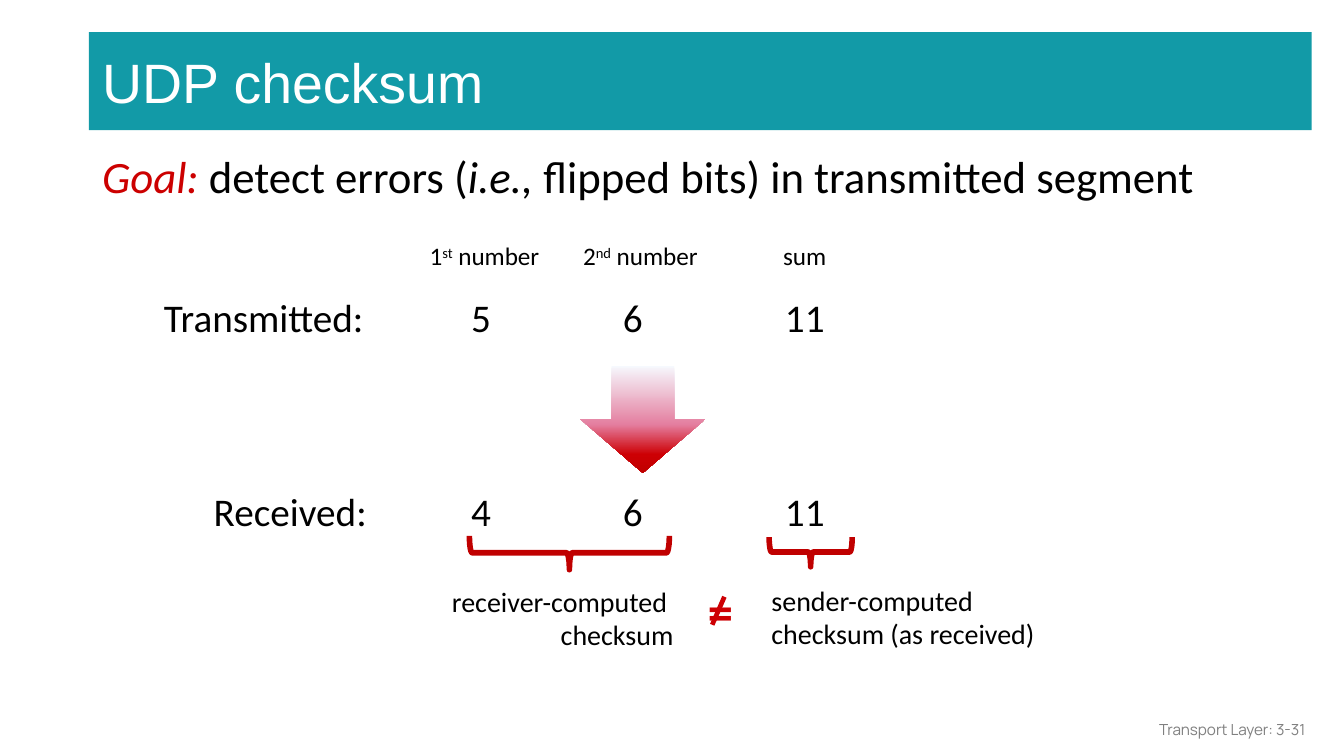
from lxml.etree import SubElement
from pptx import Presentation
from pptx.dml.color import RGBColor
from pptx.enum.shapes import MSO_CONNECTOR, MSO_SHAPE
from pptx.enum.text import MSO_ANCHOR, PP_ALIGN
from pptx.oxml.ns import qn
from pptx.util import Cm, Pt

COLORS = {
    "teal": "129AA7",
    "white": "FFFFFF",
    "black": "000000",
    "goal": "CC0000",
    "brace": "C00000",
    "unequal": "CD0004",
    "footer": "808080",
}
ARROW_STOPS = [(0, "F6F9FE"), (55, "E47E9F"), (83, "CD0004"), (100, "C00000")]
COLUMNS = [9.09, 11.96, 15.21]


class SlideBuilder:
    def __init__(self, slide, font="Calibri"):
        self.slide = slide
        self.font = font

    def color(self, name):
        return RGBColor.from_string(COLORS[name])

    def style(self, run, size, color="black", font=None):
        run.font.size = Pt(size)
        run.font.name = font or self.font
        run.font.color.rgb = self.color(color)

    def fill_text(self, shape, text, size, color="black", font=None, align=PP_ALIGN.LEFT):
        shape.text_frame.text = text
        for paragraph in shape.text_frame.paragraphs:
            paragraph.alignment = align
            for run in paragraph.runs:
                self.style(run, size, color, font)

    def text(self, box, text, size, wrap=False, **style):
        shape = self.slide.shapes.add_textbox(*map(Cm, box))
        shape.text_frame.word_wrap = wrap
        self.fill_text(shape, text, size, **style)
        return shape

    def rich_text(self, box, parts, size, line_spacing=None):
        shape = self.text(box, "", size, wrap=True)
        paragraph = shape.text_frame.paragraphs[0]
        paragraph.line_spacing = line_spacing
        for text, color, italic in parts:
            run = paragraph.add_run()
            run.text = text
            self.style(run, size, color)
            run.font.italic = italic

    def ordinal(self, box, number, suffix):
        shape = self.text(box, number, 13.5)
        paragraph = shape.text_frame.paragraphs[0]
        for text, raised in ((suffix, True), (" number", False)):
            run = paragraph.add_run()
            run.text = text
            self.style(run, 13.5)
            if raised:
                run.font._element.set("baseline", "30000")

    def number_row(self, left, top, label, numbers):
        shape = self.text((left, top, 21.34, 1.19), "\t".join([label, *numbers]), 21, wrap=True)
        frame = shape.text_frame
        frame.margin_left = frame.margin_right = 0
        frame.margin_top = frame.margin_bottom = Cm(0.1)
        paragraph = frame.paragraphs[0]
        paragraph.line_spacing = 0.9
        tabs = SubElement(paragraph._p.get_or_add_pPr(), qn("a:tabLst"))
        for column in COLUMNS:
            SubElement(tabs, qn("a:tab"), pos=str(Cm(column - left)), algn="ctr")

    def shape(self, kind, box):
        shape = self.slide.shapes.add_shape(kind, *map(Cm, box))
        shape.shadow.inherit = False
        shape.line.fill.background()
        return shape

    def title(self, box, text):
        shape = self.shape(MSO_SHAPE.RECTANGLE, box)
        shape.fill.solid()
        shape.fill.fore_color.rgb = self.color("teal")
        shape.text_frame.vertical_anchor = MSO_ANCHOR.MIDDLE
        self.fill_text(shape, text, 29.7, "white", "Arial")

    def gradient_arrow(self, box, stops):
        shape = self.shape(MSO_SHAPE.DOWN_ARROW, box)
        shape.fill.gradient()
        shape.fill.gradient_angle = 270
        stop_list = shape._element.spPr.find(qn("a:gradFill")).find(qn("a:gsLst"))
        for stop in list(stop_list):
            stop_list.remove(stop)
        for percent, color in stops:
            stop = SubElement(stop_list, qn("a:gs"), pos=str(percent * 1000))
            SubElement(stop, qn("a:srgbClr"), val=color)

    def brace(self, box):
        shape = self.shape(MSO_SHAPE.RIGHT_BRACE, box)
        shape.rotation = 90
        shape.fill.background()
        shape.line.color.rgb = self.color("brace")
        shape.line.width = Pt(3)

    def line(self, start, end):
        connector = self.slide.shapes.add_connector(
            MSO_CONNECTOR.STRAIGHT, *map(Cm, (*start, *end)))
        connector.line.color.rgb = self.color("unequal")
        connector.line.width = Pt(2.5)
        SubElement(connector._element.spPr, qn("a:effectLst"))


def main():
    presentation = Presentation()
    presentation.slide_width = Cm(25.4)
    presentation.slide_height = Cm(14.29)
    builder = SlideBuilder(presentation.slides.add_slide(presentation.slide_layouts[6]))

    builder.title((1.68, 0.61, 23.11, 1.85), "UDP checksum")
    builder.rich_text((1.68, 2.84, 23.11, 1.78), [
        ("Goal:", "goal", True),
        (" detect errors (", "black", False),
        ("i.e., ", "black", True),
        ("flipped bits) in transmitted segment", "black", False),
    ], 24, 0.85)

    builder.ordinal((7.87, 4.42, 2.64, 0.84), "1", "st")
    builder.ordinal((10.77, 4.42, 2.77, 0.84), "2", "nd")
    builder.text((14.55, 4.42, 1.34, 0.84), "sum", 13.5)
    builder.number_row(3.1, 5.54, "Transmitted:", ["5", "6", "11"])
    builder.gradient_arrow((10.97, 6.91, 2.36, 2.03), ARROW_STOPS)
    builder.number_row(4.04, 9.22, "Received:", ["4", "6", "11"])

    builder.brace((10.44, 8.56, 0.64, 3.78))
    builder.text((8.2, 10.92, 4.78, 1.55), "receiver-computed \nchecksum", 15,
                 align=PP_ALIGN.RIGHT)
    builder.brace((15.04, 9.65, 0.56, 1.57))
    builder.text((14.33, 10.9, 5.54, 1.55), "sender-computed\nchecksum (as received)", 15)

    equals = builder.text((13.13, 10.85, 0.99, 1.42), "=", 27, color="unequal")
    equals.text_frame.paragraphs[0].runs[0].font.bold = True
    builder.line((13.69, 11.28), (13.46, 11.81))

    footer = builder.text((19.2, 13.41, 5.72, 0.76), "Transport Layer: 3-31", 8.2, wrap=True,
                          color="footer", font="Manrope", align=PP_ALIGN.RIGHT)
    footer.text_frame.vertical_anchor = MSO_ANCHOR.MIDDLE
    presentation.save("out.pptx")


if __name__ == "__main__":
    main()
